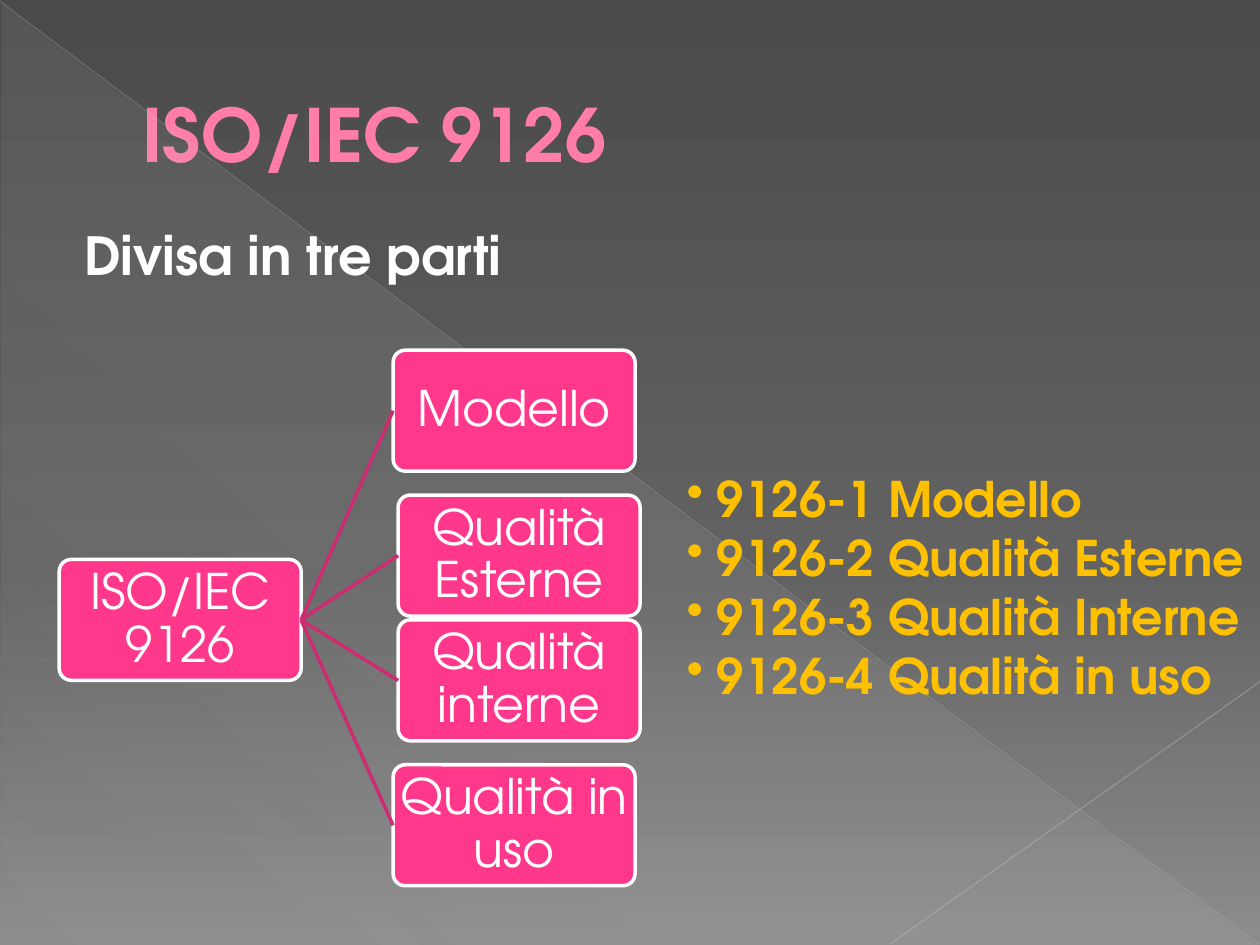
from typing import NamedTuple

from lxml.etree import SubElement
from pptx import Presentation
from pptx.dml.color import RGBColor
from pptx.enum.shapes import MSO_CONNECTOR as Connector, MSO_SHAPE as Shape
from pptx.enum.text import MSO_ANCHOR as Anchor, PP_ALIGN as Align
from pptx.oxml.ns import qn
from pptx.util import Inches, Pt

FONT = "TeX Gyre Adventor"
WHITE = RGBColor(0xFF, 0xFF, 0xFF)
PINK = RGBColor(0xFF, 0x38, 0x8C)
TITLE_PINK = RGBColor(0xFF, 0x7D, 0xA7)
TITLE_EDGE = RGBColor(0xB1, 0x27, 0x61)
LINK_PINK = RGBColor(0xCC, 0x2D, 0x70)
AMBER = RGBColor(0xFF, 0xC0, 0x00)
DARK = RGBColor(0x4A, 0x4A, 0x4A)
MIDDLE = RGBColor(0x62, 0x62, 0x62)
LIGHT = RGBColor(0x8C, 0x8C, 0x8C)
SHEEN = RGBColor(0xD2, 0xD2, 0xD2)
RAY_LONG = RGBColor(0xBF, 0xBF, 0xBF)
RAY_SHORT = RGBColor(0xC6, 0xC6, 0xC6)

BOX_WIDTH, BOX_HEIGHT = 1.92, 0.96
RIGHT_SIDE, LEFT_SIDE = 3, 1


class Stop(NamedTuple):
    position: int
    color: RGBColor
    opacity: int = 100


class Node(NamedTuple):
    text: str
    left: float
    top: float


class Ray(NamedTuple):
    start: tuple[float, float]
    end: tuple[float, float]
    color: RGBColor
    width: float
    opacity: int


ROOT = Node("ISO/IEC 9126", 0.47, 4.44)
PARTS = [
    Node("Modello", 3.12, 2.78),
    Node("Qualità Esterne", 3.16, 3.93),
    Node("Qualità interne", 3.16, 4.92),
    Node("Qualità in uso", 3.12, 6.07),
]
STANDARDS = ["9126-1 Modello", "9126-2 Qualità Esterne",
             "9126-3 Qualità Interne", "9126-4 Qualità in uso"]
RAYS = [
    Ray((0, 0.01), (9.99, 7.49), RAY_LONG, 0.39, 35),
    Ray((10, 5.41), (7.07, 7.49), RAY_SHORT, 0.47, 45),
]


def add_alpha(color_element, opacity: int) -> None:
    SubElement(color_element, qn("a:alpha"), val=str(opacity * 1000))


def set_gradient(fill, owner, stops: list[Stop], angle: int) -> None:
    """Give a fill any number of stops; the angle runs clockwise."""
    fill.gradient()
    gradient = next(owner.iter(qn("a:gradFill")))
    stop_list = gradient.find(qn("a:gsLst"))
    for old in list(stop_list):
        stop_list.remove(old)
    for stop in stops:
        entry = SubElement(stop_list, qn("a:gs"), pos=str(stop.position * 1000))
        color = SubElement(entry, qn("a:srgbClr"), val=str(stop.color))
        if stop.opacity < 100:
            add_alpha(color, stop.opacity)
    gradient.find(qn("a:lin")).set("ang", str(angle * 60000))


def add_text(paragraph, text: str, size: float, color: RGBColor, bold: bool = False):
    run = paragraph.add_run()
    run.text = text
    run.font.name = FONT
    run.font.size = Pt(size)
    run.font.bold = bold
    run.font.color.rgb = color
    return run


def set_indent(paragraph, margin: float, first_line: float) -> None:
    properties = paragraph._p.get_or_add_pPr()
    properties.set("marL", str(Inches(margin)))
    properties.set("indent", str(Inches(first_line)))


def add_line(slide, start: tuple[float, float], end: tuple[float, float],
             color: RGBColor, width: float):
    line = slide.shapes.add_connector(
        Connector.STRAIGHT, *(Inches(value) for value in (*start, *end)))
    line.line.color.rgb = color
    line.line.width = Pt(width)
    SubElement(line._element.spPr, qn("a:effectLst"))
    return line


def add_node(slide, node: Node):
    box = slide.shapes.add_shape(
        Shape.ROUNDED_RECTANGLE, Inches(node.left), Inches(node.top),
        Inches(BOX_WIDTH), Inches(BOX_HEIGHT))
    box.adjustments[0] = 0.1
    box.shadow.inherit = False
    box.fill.solid()
    box.fill.fore_color.rgb = PINK
    box.line.color.rgb = WHITE
    box.line.width = Pt(2)
    frame = box.text_frame
    frame.word_wrap = True
    frame.vertical_anchor = Anchor.MIDDLE
    frame.margin_left = frame.margin_right = Inches(0.02)
    frame.margin_top = frame.margin_bottom = Inches(0.02)
    label = frame.paragraphs[0]
    label.alignment = Align.CENTER
    label.line_spacing = 0.9
    add_text(label, node.text, 28, WHITE)
    return box


def add_backdrop(slide) -> None:
    set_gradient(slide.background.fill, slide._element,
                 [Stop(0, DARK), Stop(60, MIDDLE), Stop(100, LIGHT)], 90)
    triangle = slide.shapes.add_shape(
        Shape.RIGHT_TRIANGLE, Inches(0.01), Inches(0.02), Inches(9.98), Inches(7.48))
    triangle.shadow.inherit = False
    triangle.line.fill.background()
    set_gradient(triangle.fill, triangle._element.spPr,
                 [Stop(0, SHEEN, 10), Stop(70, SHEEN, 8), Stop(100, SHEEN, 1)], 133)
    for ray in RAYS:
        line = add_line(slide, ray.start, ray.end, ray.color, ray.width)
        add_alpha(next(line._element.spPr.iter(qn("a:srgbClr"))), ray.opacity)


def add_headings(slide) -> None:
    title = slide.shapes.title
    title.left, title.top = Inches(0.5), Inches(0.29)
    title.width, title.height = Inches(9), Inches(1.53)
    title.text_frame.vertical_anchor = Anchor.MIDDLE
    heading = title.text_frame.paragraphs[0]
    heading.alignment = Align.LEFT
    set_indent(heading, 0.53, 0)
    run = add_text(heading, "ISO/IEC 9126", 42, TITLE_PINK, bold=True)
    # Thin outline around the letters
    properties = run._r.get_or_add_rPr()
    outline = SubElement(properties, qn("a:ln"), w=str(Pt(0.5)))
    edge = SubElement(outline, qn("a:solidFill"))
    SubElement(edge, qn("a:srgbClr"), val=str(TITLE_EDGE))
    properties.insert(0, outline)

    subtitle = slide.shapes.add_textbox(
        Inches(0.5), Inches(1.72), Inches(9), Inches(0.78))
    subtitle.text_frame.word_wrap = True
    line = subtitle.text_frame.paragraphs[0]
    line.space_before = Pt(6)
    set_indent(line, 0.49, -0.42)
    add_text(line, "Divisa in tre parti", 30, WHITE, bold=True)


def add_tree(slide) -> None:
    root = add_node(slide, ROOT)
    for part in PARTS:
        box = add_node(slide, part)
        link = add_line(slide, (0, 0), (1, 1), LINK_PINK, 2)
        link.begin_connect(root, RIGHT_SIDE)
        link.end_connect(box, LEFT_SIDE)


def add_standards(slide) -> None:
    listing = slide.shapes.add_textbox(
        Inches(5.35), Inches(3.67), Inches(4.65), Inches(1.99))
    frame = listing.text_frame
    frame.word_wrap = False
    for index, standard in enumerate(STANDARDS):
        item = frame.add_paragraph() if index else frame.paragraphs[0]
        set_indent(item, 0.24, -0.24)
        SubElement(item._p.get_or_add_pPr(), qn("a:buChar"), char="•")
        add_text(item, standard, 28, AMBER, bold=True)


def main() -> None:
    deck = Presentation()
    deck.slide_width, deck.slide_height = Inches(10), Inches(7.5)
    slide = deck.slides.add_slide(deck.slide_layouts[5])
    add_backdrop(slide)
    add_headings(slide)
    add_tree(slide)
    add_standards(slide)
    deck.save("out.pptx")


if __name__ == "__main__":
    main()
